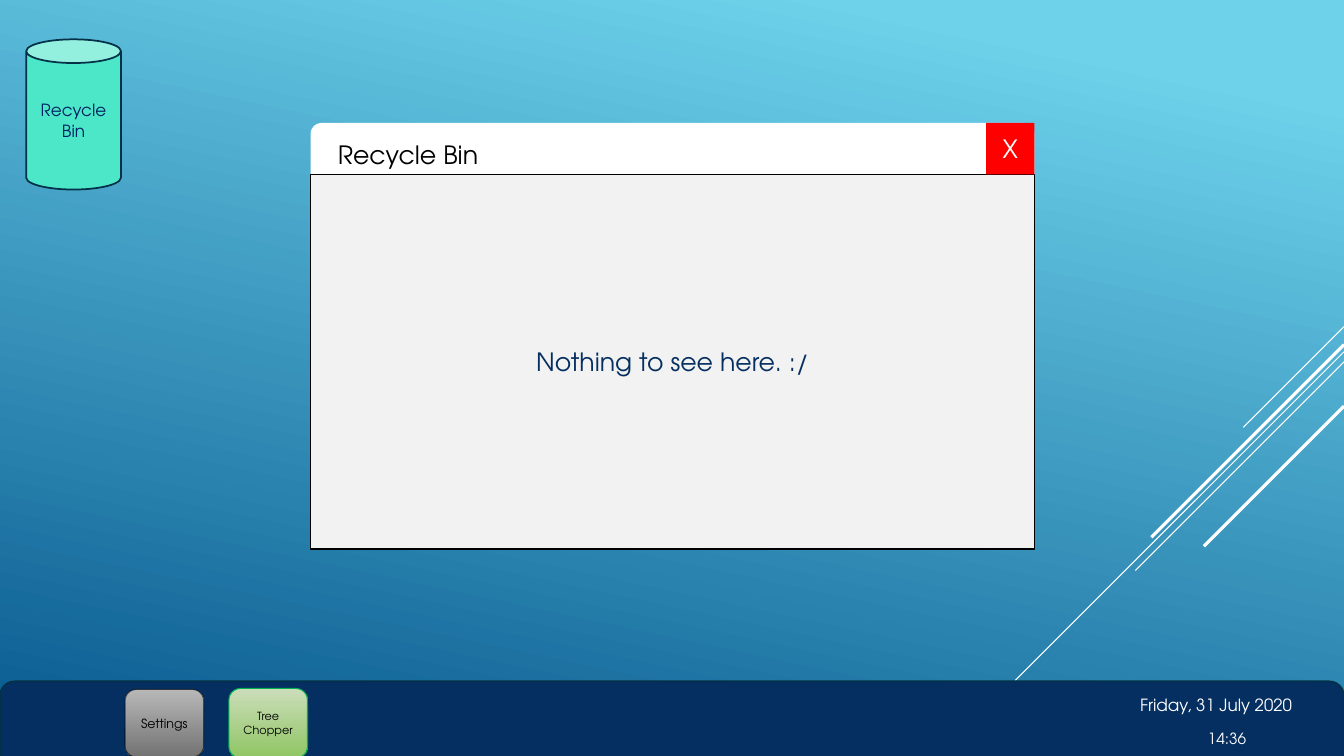
from lxml import etree
from pptx import Presentation
from pptx.dml.color import RGBColor
from pptx.enum import shapes, text
from pptx.oxml.ns import qn
from pptx.util import Inches, Pt

COLORS = {
    "white": "FFFFFF", "black": "000000", "navy": "052F61", "ink": "002060",
    "edge": "043148", "mint": "4BE7C8", "panel": "F2F2F2", "red": "FF0000",
    "sky": "6ED2EB", "sea": "06588E", "silver": "B8B8B8", "grey": "737373",
    "pale": "CCDDBA", "leaf": "8FC563", "green": "00B050",
}
KIND = shapes.MSO_SHAPE


class Desktop:
    font = "TeX Gyre Adventor"

    def __init__(self, slide):
        self.slide = slide

    @staticmethod
    def rgb(name):
        return RGBColor.from_string(COLORS[name])

    def gradient(self, fill, names, angle, start=0):
        fill.gradient()
        fill.gradient_angle = 360 - angle
        for stop, name, position in zip(fill.gradient_stops, names, (start, 1)):
            stop.color.rgb = self.rgb(name)
            stop.position = position

    def set_words(self, frame, words, size, color, align, anchor):
        frame.text = words
        frame.word_wrap = True
        frame.auto_size = text.MSO_AUTO_SIZE.NONE
        frame.vertical_anchor = anchor
        line = frame.paragraphs[0]
        line.alignment = align
        line.font.name = self.font
        line.font.size = Pt(size)
        line.font.color.rgb = self.rgb(color)

    def shape(self, kind, box, fill, edge=None, width=1.25, words="", size=18, color="black"):
        item = self.slide.shapes.add_shape(kind, *map(Inches, box))
        item.shadow.inherit = False
        if isinstance(fill, tuple):
            self.gradient(item.fill, fill, 90)
        else:
            item.fill.solid()
            item.fill.fore_color.rgb = self.rgb(fill)
        if edge:
            item.line.color.rgb = self.rgb(edge)
            item.line.width = Pt(width)
        else:
            item.line.fill.background()
        if words:
            self.set_words(item.text_frame, words, size, color,
                           text.PP_ALIGN.CENTER, text.MSO_ANCHOR.MIDDLE)
        return item

    def label(self, box, words, size):
        item = self.slide.shapes.add_textbox(*map(Inches, box))
        self.set_words(item.text_frame, words, size, "white",
                       text.PP_ALIGN.LEFT, text.MSO_ANCHOR.TOP)

    def title(self, box, words):
        item = self.slide.shapes.title
        item.left, item.top, item.width, item.height = map(Inches, box)
        self.set_words(item.text_frame, words, 18, "black",
                       text.PP_ALIGN.LEFT, text.MSO_ANCHOR.TOP)
        self.slide.shapes._spTree.append(item._element)

    def ray(self, top, length, width):
        right = 13.33
        item = self.slide.shapes.add_connector(
            shapes.MSO_CONNECTOR.STRAIGHT, Inches(right), Inches(top),
            Inches(right - length), Inches(top + length))
        item.line.color.rgb = self.rgb("white")
        item.line.width = Pt(width)
        etree.SubElement(item._element.spPr, qn("a:effectLst"))


def main():
    deck = Presentation()
    deck.slide_width, deck.slide_height = Inches(13.33), Inches(7.5)
    slide = deck.slides.add_slide(deck.slide_layouts[5])
    desktop = Desktop(slide)
    desktop.gradient(slide.background.fill, ("sky", "sea"), 102, 0.1)

    for top, length, width in ((3.24, 1, 0.75), (3.49, 3.26, 0.75), (3.59, 2.07, 0.75),
                               (3.42, 1.91, 2.25), (4.03, 1.39, 2.25)):
        desktop.ray(top, length, width)

    desktop.shape(KIND.ROUNDED_RECTANGLE, (0, 6.76, 13.33, 0.87), "navy", "edge")
    desktop.shape(KIND.CAN, (0.26, 0.39, 0.94, 1.49), "mint", "edge",
                  words="Recycle Bin", size=12, color="ink")

    desktop.shape(KIND.ROUNDED_RECTANGLE, (3.08, 1.22, 7.18, 0.66), "white")
    desktop.shape(KIND.RECTANGLE, (3.08, 1.73, 7.18, 3.72), "panel", "black",
                  words="Nothing to see here. :/", color="navy")
    desktop.shape(KIND.RECTANGLE, (9.78, 1.22, 0.48, 0.51), "red", words="X", color="white")

    settings = desktop.shape(KIND.ROUNDED_RECTANGLE, (1.24, 6.84, 0.78, 0.67),
                             ("silver", "grey"), "black", 0.75, "Settings", 9)
    edge_color = next(settings.line._ln.iter(qn("a:srgbClr")))
    etree.SubElement(edge_color, qn("a:alpha"), val="60000")
    desktop.shape(KIND.ROUNDED_RECTANGLE, (2.27, 6.83, 0.78, 0.69),
                  ("pale", "leaf"), "green", 0.75, "Tree Chopper", 8)

    desktop.label((11.88, 7.18, 0.65, 0.29), "14:36", 11)
    desktop.label((11.21, 6.84, 1.96, 0.3), "Friday, 31 July 2020", 12)
    desktop.title((3.25, 1.33, 1.65, 0.4), "Recycle Bin")
    deck.save("out.pptx")


if __name__ == "__main__":
    main()
